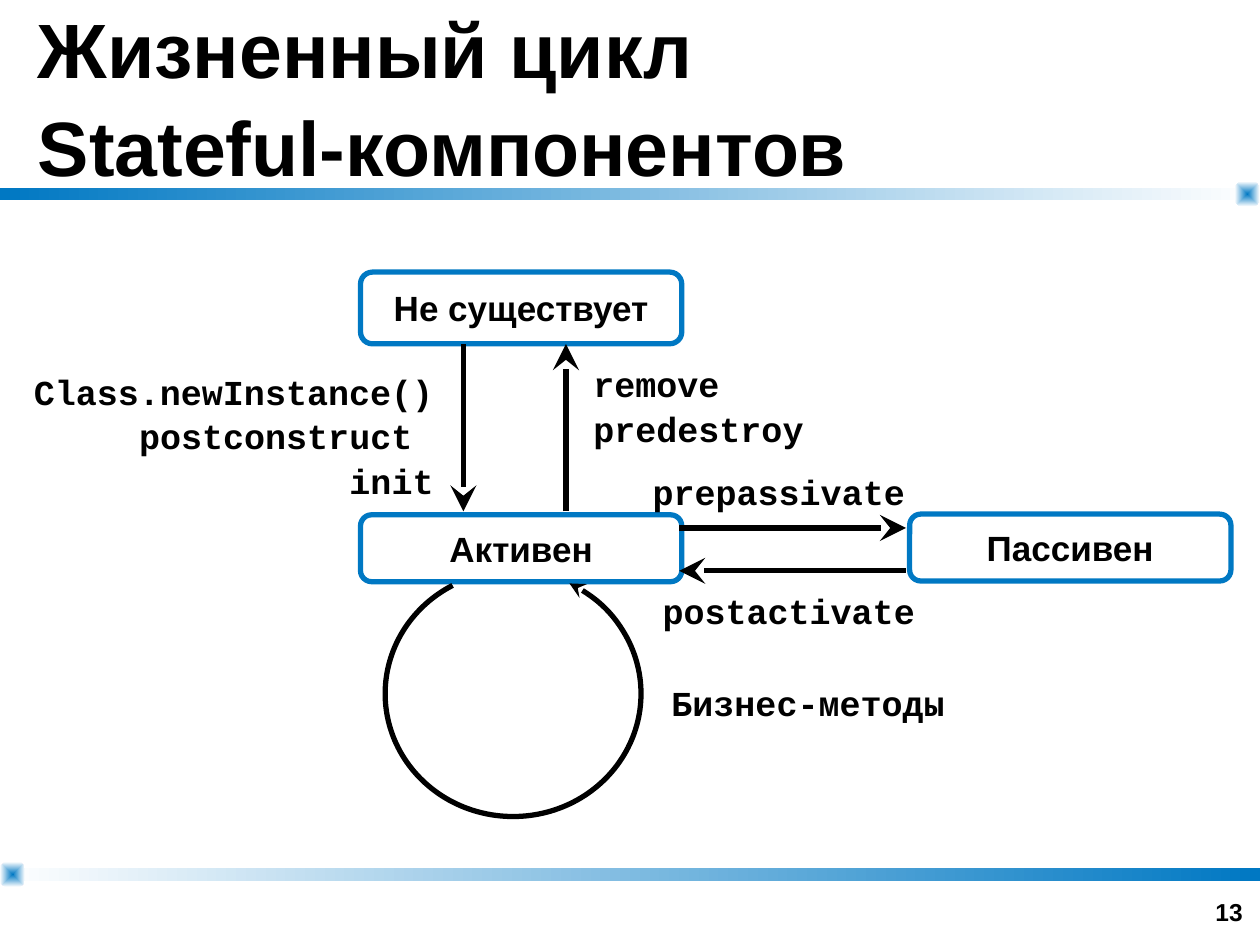
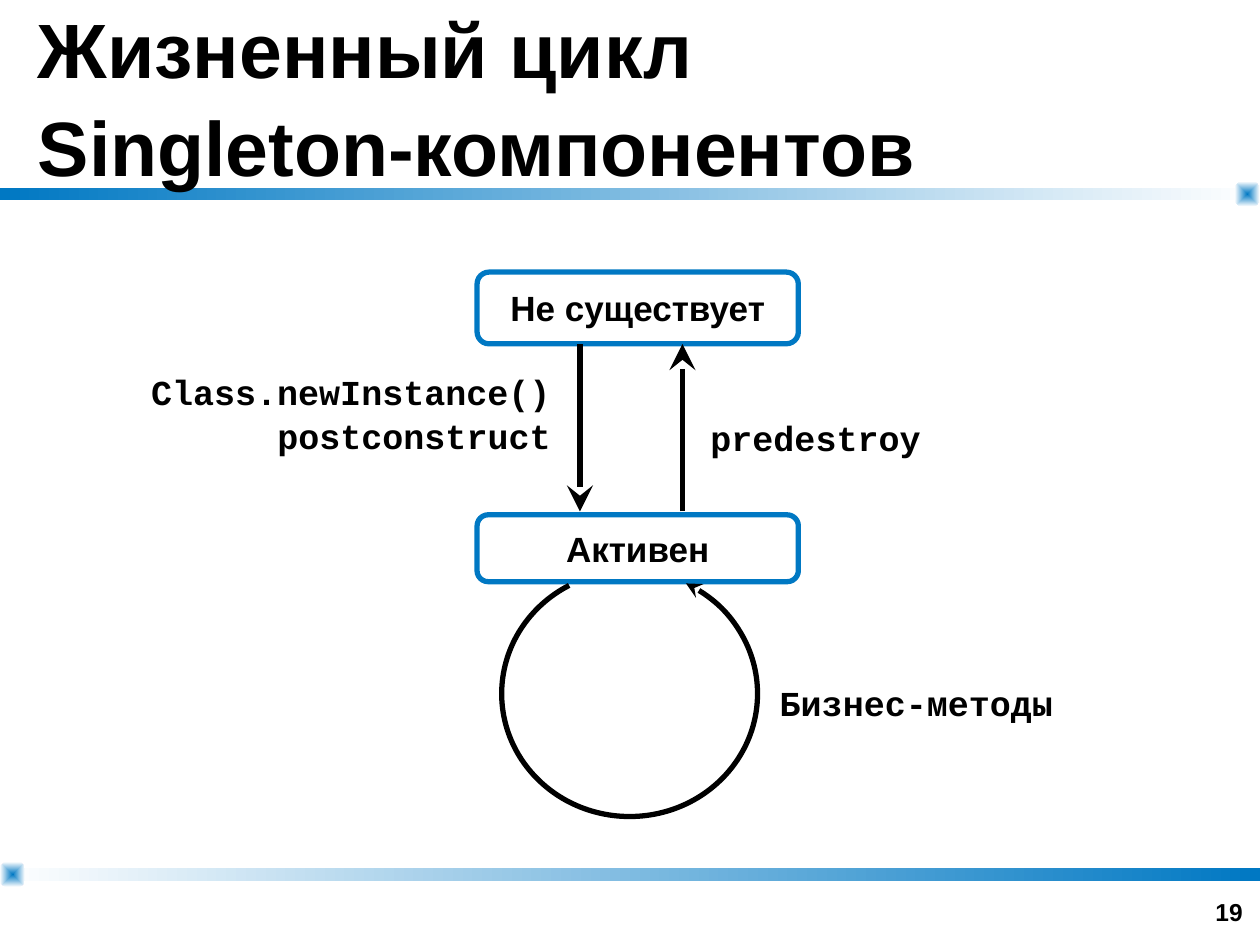
from dataclasses import dataclass

import pptx
import pptx.dml.color
import pptx.enum.shapes
import pptx.enum.text
import pptx.oxml
import pptx.oxml.ns
import pptx.shapes.autoshape
import pptx.shapes.base
import pptx.slide
import pptx.text.text
import pptx.util

Pt = pptx.util.Pt
ShapeKind = pptx.enum.shapes.MSO_SHAPE
Align = pptx.enum.text.PP_ALIGN
Anchor = pptx.enum.text.MSO_ANCHOR
AutoSize = pptx.enum.text.MSO_AUTO_SIZE
qn = pptx.oxml.ns.qn

BLUE = pptx.dml.color.RGBColor(0x00, 0x78, 0xC3)
WHITE = pptx.dml.color.RGBColor(0xFF, 0xFF, 0xFF)
BLACK = pptx.dml.color.RGBColor(0x00, 0x00, 0x00)
SANS = "Arial"
MONO = "Courier New"
LINE_WIDTH = 3
LINE_SPACING = 1.06
STATE_WIDTH = 183.6
LINE_HEIGHT = 24.2
SINGLETON_SHIFT = 66.6


@dataclass(frozen=True)
class Box:
    left: float
    top: float
    width: float
    height: float

    def lengths(self) -> tuple:
        return Pt(self.left), Pt(self.top), Pt(self.width), Pt(self.height)


@dataclass(frozen=True)
class Ornament:
    kind: ShapeKind
    box: Box
    start: pptx.dml.color.RGBColor
    end: pptx.dml.color.RGBColor


@dataclass(frozen=True)
class State:
    name: str
    left: float
    top: float
    height: float


@dataclass(frozen=True)
class Arrow:
    start: tuple[float, float]
    end: tuple[float, float]


@dataclass(frozen=True)
class Label:
    lines: tuple[str, ...]
    left: float
    top: float
    width: float
    align: Align = Align.LEFT


@dataclass(frozen=True)
class Lifecycle:
    """What differs between the slides; shift moves the shared diagram right."""
    title: tuple[str, str]
    number: str
    shift: float
    labels: tuple[Label, ...]
    states: tuple[State, ...] = ()
    arrows: tuple[Arrow, ...] = ()


ORNAMENTS = (
    Ornament(ShapeKind.RECTANGLE, Box(0, 107.3, 720, 7.2), BLUE, WHITE),
    Ornament(ShapeKind.RECTANGLE, Box(0, 496.1, 720, 7.2), WHITE, BLUE),
    Ornament(ShapeKind.ROUNDED_RECTANGLE, Box(705.6, 103.7, 14.4, 14.4), BLUE, WHITE),
    Ornament(ShapeKind.ROUNDED_RECTANGLE, Box(0, 492.5, 14.4, 14.4), BLUE, WHITE),
)
SHARED_STATES = (
    State("Не существует", 206, 155.5, 41),
    State("Активен", 206, 294.2, 38.2),
)
SHARED_ARROWS = (
    Arrow((264.8, 196.6), (264.8, 292.3)),
    Arrow((323.4, 292.3), (323.4, 196.6)),
)
METHOD_LOOP = Box(220.1, 326.2, 146.2, 140.4)

LIFECYCLES = (
    Lifecycle(
        title=("Жизненный цикл ", "Stateful-компонентов"),
        number="13",
        shift=0,
        labels=(
            Label(("remove", "predestroy"), 332, 202.4, 136),
            Label(("Class.newInstance()", "postconstruct ", "init"),
                  0, 206.6, 254.9, Align.RIGHT),
            Label(("Бизнес-методы",), 376.6, 384.5, 172),
            Label(("postactivate",), 371.5, 331.9, 159.8),
            Label(("prepassivate",), 365.8, 264.2, 159.8),
        ),
        states=(State("Пассивен", 519.8, 293.8, 38.2),),
        arrows=(
            Arrow((388.1, 301.7), (517.7, 301.7)),
            Arrow((517.7, 326.2), (388.1, 326.2)),
        ),
    ),
    Lifecycle(
        title=("Жизненный цикл", "Singleton-компонентов"),
        number="19",
        shift=SINGLETON_SHIFT,
        labels=(
            Label(("predestroy",), 398.9, 233.3, 136),
            Label(("Class.newInstance()", "postconstruct"),
                  67, 206.6, 254.9, Align.RIGHT),
            Label(("Бизнес-методы",), 438.5, 384.5, 172),
        ),
    ),
)


def add_run(paragraph: pptx.text.text._Paragraph, text: str, size: float,
            font: str = SANS) -> None:
    run = paragraph.add_run()
    run.text = text
    run.font.name = font
    run.font.size = Pt(size)
    run.font.bold = True
    run.font.color.rgb = BLACK


def add_arrowhead(shape: pptx.shapes.base.BaseShape, end: str, size: str) -> None:
    """Put a stealth head on the line's headEnd or tailEnd."""
    line = shape.element.spPr.find(qn("a:ln"))
    head = pptx.oxml.parse_xml(
        f'<a:{end} {pptx.oxml.ns.nsdecls("a")} type="stealth" w="{size}" len="{size}"/>')
    line.append(head)


def style_outline(shape: pptx.shapes.autoshape.Shape,
                  color: pptx.dml.color.RGBColor) -> None:
    shape.shadow.inherit = False
    shape.fill.background()
    shape.line.color.rgb = color
    shape.line.width = Pt(LINE_WIDTH)


def add_ornament(slide: pptx.slide.Slide, ornament: Ornament) -> pptx.shapes.autoshape.Shape:
    shape = slide.shapes.add_shape(ornament.kind, *ornament.box.lengths())
    shape.shadow.inherit = False
    shape.line.fill.background()
    shape.fill.gradient()
    shape.fill.gradient_angle = 0
    for stop, color in zip(shape.fill.gradient_stops, (ornament.start, ornament.end)):
        stop.color.rgb = color
    if ornament.kind == ShapeKind.ROUNDED_RECTANGLE:
        shape.adjustments[0] = 0.318
        gradient = shape.element.spPr.find(qn("a:gradFill"))
        radiate = pptx.oxml.parse_xml(
            f'<a:path {pptx.oxml.ns.nsdecls("a")} path="shape">'
            '<a:fillToRect l="50000" t="50000" r="50000" b="50000"/></a:path>')
        gradient.replace(gradient.find(qn("a:lin")), radiate)
    return shape


def move_ornaments_to_master(slide: pptx.slide.Slide) -> None:
    """Draw the bands on a slide, then hand them to the master for all slides."""
    master_tree = slide.slide_layout.slide_master.shapes.element
    for index, ornament in enumerate(ORNAMENTS):
        element = add_ornament(slide, ornament).element
        element.nvSpPr.cNvPr.set("id", str(100 + index))
        master_tree.insert(2 + index, element)


def set_title(slide: pptx.slide.Slide, lines: tuple[str, str]) -> None:
    title = slide.shapes.title
    title.left, title.top, title.width, title.height = Box(14.4, 0, 691.2, 107.3).lengths()
    frame = title.text_frame
    frame.auto_size = AutoSize.NONE
    frame.vertical_anchor = Anchor.MIDDLE
    paragraph = frame.paragraphs[0]
    paragraph.alignment = Align.LEFT
    paragraph.line_spacing = LINE_SPACING
    add_run(paragraph, lines[0], 44)
    paragraph.add_line_break()
    add_run(paragraph, lines[1], 44)


def add_number(slide: pptx.slide.Slide, number: str) -> None:
    frame = slide.shapes.add_textbox(*Box(549.4, 496.8, 167.8, 36).lengths()).text_frame
    frame.word_wrap = True
    frame.vertical_anchor = Anchor.BOTTOM
    frame.paragraphs[0].alignment = Align.RIGHT
    add_run(frame.paragraphs[0], number, 14)


def add_state(slide: pptx.slide.Slide, state: State, shift: float) -> None:
    box = Box(state.left + shift, state.top, STATE_WIDTH, state.height)
    shape = slide.shapes.add_shape(ShapeKind.ROUNDED_RECTANGLE, *box.lengths())
    style_outline(shape, BLUE)
    frame = shape.text_frame
    frame.word_wrap = False
    frame.vertical_anchor = Anchor.MIDDLE
    frame.paragraphs[0].alignment = Align.CENTER
    add_run(frame.paragraphs[0], state.name, 20)


def add_arrow(slide: pptx.slide.Slide, arrow: Arrow, shift: float) -> None:
    (start_x, start_y), (end_x, end_y) = arrow.start, arrow.end
    connector = slide.shapes.add_connector(
        pptx.enum.shapes.MSO_CONNECTOR.STRAIGHT,
        Pt(start_x + shift), Pt(start_y), Pt(end_x + shift), Pt(end_y))
    connector.line.color.rgb = BLACK
    connector.line.width = Pt(LINE_WIDTH)
    add_arrowhead(connector, "tailEnd", "lg")
    connector.element.spPr.append(
        pptx.oxml.parse_xml(f'<a:effectLst {pptx.oxml.ns.nsdecls("a")}/>'))


def add_method_loop(slide: pptx.slide.Slide, shift: float) -> None:
    left, top, width, height = METHOD_LOOP.lengths()
    loop = slide.shapes.add_shape(ShapeKind.ARC, left + Pt(shift), top, width, height)
    loop.adjustments[0] = 178.255
    loop.adjustments[1] = 144.484
    style_outline(loop, BLACK)
    add_arrowhead(loop, "headEnd", "med")


def add_label(slide: pptx.slide.Slide, label: Label) -> None:
    box = Box(label.left, label.top, label.width, 7.2 + LINE_HEIGHT * len(label.lines))
    frame = slide.shapes.add_textbox(*box.lengths()).text_frame
    frame.word_wrap = label.align == Align.RIGHT
    frame.auto_size = AutoSize.SHAPE_TO_FIT_TEXT
    for index, line in enumerate(label.lines):
        paragraph = frame.add_paragraph() if index else frame.paragraphs[0]
        paragraph.alignment = label.align
        paragraph.line_spacing = LINE_SPACING
        add_run(paragraph, line, 20, MONO)


def fill_slide(slide: pptx.slide.Slide, lifecycle: Lifecycle) -> None:
    set_title(slide, lifecycle.title)
    add_number(slide, lifecycle.number)
    for state in SHARED_STATES + lifecycle.states:
        add_state(slide, state, lifecycle.shift)
    for arrow in SHARED_ARROWS + lifecycle.arrows:
        add_arrow(slide, arrow, lifecycle.shift)
    add_method_loop(slide, lifecycle.shift)
    for label in lifecycle.labels:
        add_label(slide, label)


def main() -> None:
    presentation = pptx.Presentation()
    presentation.slide_width = Pt(720)
    presentation.slide_height = Pt(540)
    title_only = presentation.slide_layouts[5]
    slides = [presentation.slides.add_slide(title_only) for _ in LIFECYCLES]
    move_ornaments_to_master(slides[0])
    for slide, lifecycle in zip(slides, LIFECYCLES):
        fill_slide(slide, lifecycle)
    presentation.save("out.pptx")


if __name__ == "__main__":
    main()
